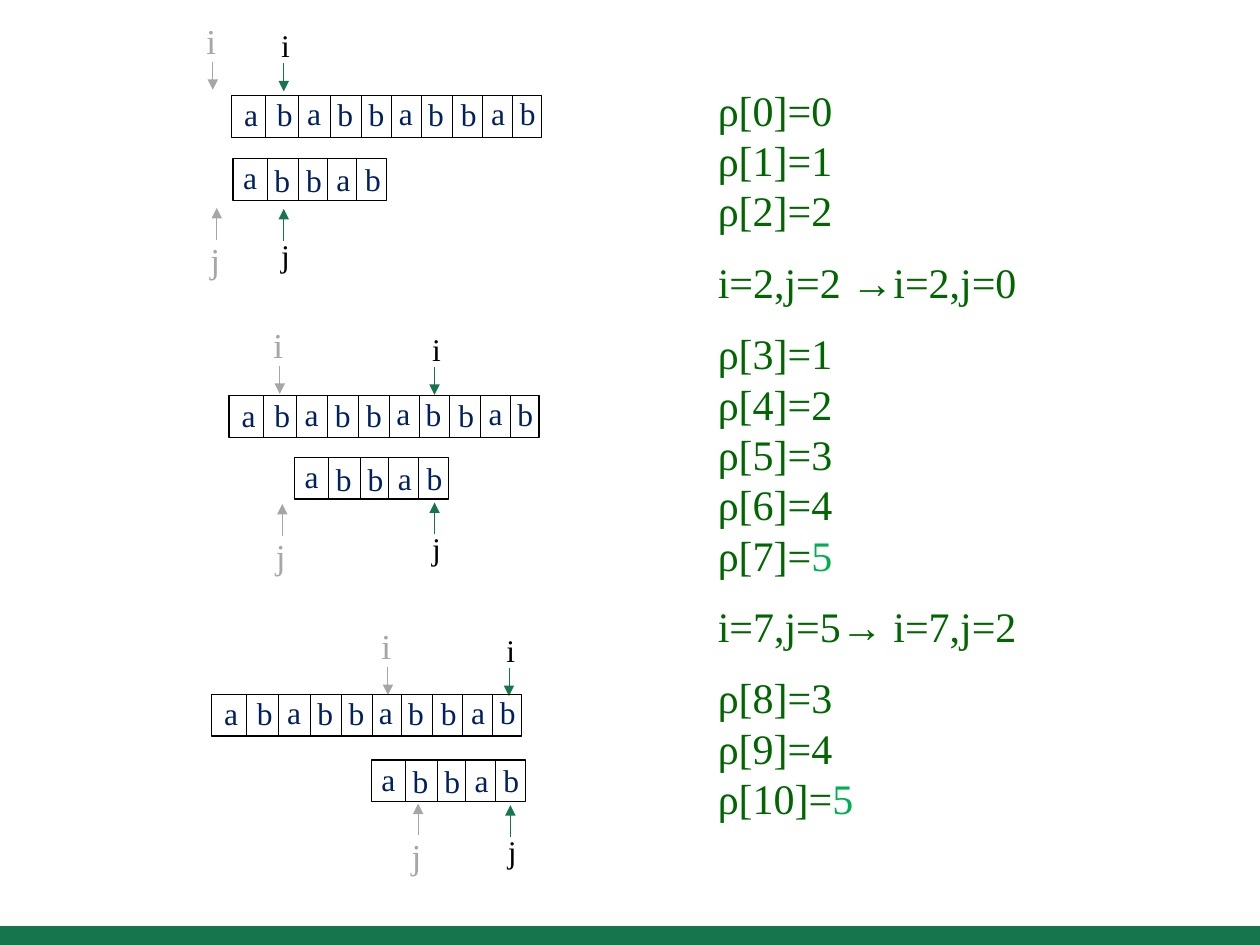
from dataclasses import dataclass
from typing import NamedTuple

from lxml.etree import SubElement
from pptx import Presentation
from pptx.dml.color import RGBColor
from pptx.enum.shapes import MSO_CONNECTOR, MSO_SHAPE
from pptx.enum.text import MSO_AUTO_SIZE
from pptx.oxml.ns import qn
from pptx.util import Cm, Pt


@dataclass(frozen=True)
class Theme:
    font: str = "Times New Roman"
    green: str = "16754D"
    result: str = "006600"
    accent: str = "00B050"
    letter: str = "002060"
    black: str = "000000"
    faded: str = "A6A6A6"
    result_size: int = 24
    faded_size: int = 20
    label_size: int = 18
    thin: float = 0.5
    medium: float = 0.75


THEME = Theme()


class Point(NamedTuple):
    x: float
    y: float


class Cell(NamedTuple):
    letter: str
    left: float
    top: float


@dataclass(frozen=True)
class Strip:
    width: float
    cells: tuple[Cell, ...]
    dividers: tuple[float, ...]


@dataclass(frozen=True)
class PointerStyle:
    color: str
    size: int
    width: float
    height: float
    left: float
    i_top: float
    j_top: float
    wrap: bool


@dataclass(frozen=True)
class Stage:
    text: Point
    pattern: Point
    old_i: Point
    old_j: Point
    new_i: Point
    new_j: Point


@dataclass(frozen=True)
class Result:
    text: str
    accent: str = ""
    spaced: bool = False


STRIP_HEIGHT = 0.84
TEXT_STRIP = Strip(
    6.25,
    (Cell("a", 0, -0.13), Cell("b", 0.66, -0.13), Cell("a", 1.27, -0.15),
     Cell("b", 1.88, -0.13), Cell("b", 2.51, -0.13), Cell("a", 3.12, -0.16),
     Cell("b", 3.71, -0.14), Cell("b", 4.37, -0.13), Cell("a", 4.98, -0.16),
     Cell("b", 5.56, -0.15)),
    (0.69, 1.35, 1.99, 2.61, 3.23, 3.83, 4.45, 5.06, 5.66),
)
PATTERN_STRIP = Strip(
    3.1,
    (Cell("a", -0.05, -0.13), Cell("b", 0.58, -0.08), Cell("b", 1.22, -0.08),
     Cell("a", 1.83, -0.1), Cell("b", 2.41, -0.1)),
    (0.69, 1.32, 1.9, 2.49),
)
OLD = PointerStyle(THEME.faded, THEME.faded_size, 0.71, 1.12, -0.38, -0.97, -0.15, False)
NEW = PointerStyle(THEME.black, THEME.label_size, 0.91, 1.02, -0.3, -0.86, -0.22, True)

STAGES = (
    Stage(Point(4.67, 1.93), Point(4.7, 3.2), Point(4.29, 1.24),
          Point(4.37, 4.83), Point(5.72, 1.27), Point(5.72, 4.85)),
    Stage(Point(4.62, 7.98), Point(5.94, 9.22), Point(5.64, 7.37),
          Point(5.69, 10.8), Point(8.76, 7.39), Point(8.76, 10.77)),
    Stage(Point(4.27, 14), Point(7.49, 15.32), Point(7.82, 13.44),
          Point(8.43, 16.84), Point(10.26, 13.46), Point(10.29, 16.87)),
)
RESULTS = (
    Result("ρ[0]=0"), Result("ρ[1]=1"), Result("ρ[2]=2"),
    Result("i=2,j=2 →i=2,j=0", spaced=True),
    Result("ρ[3]=1"), Result("ρ[4]=2"), Result("ρ[5]=3"), Result("ρ[6]=4"),
    Result("ρ[7]=", "5"),
    Result("i=7,j=5→ i=7,j=2", spaced=True),
    Result("ρ[8]=3"), Result("ρ[9]=4"), Result("ρ[10]=", "5"),
)


def add_span(para, text: str, size: int, color: str) -> None:
    span = para.add_run()
    span.text = text
    span.font.name = THEME.font
    span.font.size = Pt(size)
    span.font.color.rgb = RGBColor.from_string(color)


def add_box(shapes, left: float, top: float, width: float, height: float, wrap: bool = True):
    box = shapes.add_textbox(Cm(left), Cm(top), Cm(width), Cm(height))
    box.text_frame.word_wrap = wrap
    box.text_frame.auto_size = MSO_AUTO_SIZE.SHAPE_TO_FIT_TEXT
    return box.text_frame


def add_vertical(shapes, x: float, start: float, end: float, color: str,
                 weight: float, arrow: bool = False) -> None:
    line = shapes.add_connector(MSO_CONNECTOR.STRAIGHT, Cm(x), Cm(start), Cm(x), Cm(end))
    line.line.color.rgb = RGBColor.from_string(color)
    line.line.width = Pt(weight)
    if arrow:
        SubElement(line.line._get_or_add_ln(), qn("a:tailEnd"), type="triangle")
    SubElement(line._element.spPr, qn("a:effectLst"))


def draw_strip(shapes, strip: Strip, origin: Point) -> None:
    frame = shapes.add_shape(MSO_SHAPE.RECTANGLE, Cm(origin.x), Cm(origin.y),
                             Cm(strip.width), Cm(STRIP_HEIGHT))
    frame.shadow.inherit = False
    frame.fill.background()
    frame.line.color.rgb = RGBColor.from_string(THEME.black)
    frame.line.width = Pt(THEME.medium)
    for offset in strip.dividers:
        add_vertical(shapes, origin.x + offset, origin.y, origin.y + STRIP_HEIGHT,
                     THEME.black, THEME.thin)
    for cell in strip.cells:
        box = add_box(shapes, origin.x + cell.left, origin.y + cell.top, 0.79, 1.02)
        add_span(box.paragraphs[0], cell.letter, THEME.label_size, THEME.letter)


def draw_pointer(shapes, label: str, start: Point, style: PointerStyle) -> None:
    downward = label == "i"
    top = style.i_top if downward else style.j_top
    length = 0.57 if downward else -0.64
    weight = THEME.thin if downward else THEME.medium
    color = THEME.green if style is NEW else style.color
    box = add_box(shapes, start.x + style.left, start.y + top,
                  style.width, style.height, style.wrap)
    add_span(box.paragraphs[0], label, style.size, style.color)
    add_vertical(shapes, start.x, start.y, start.y + length, color, weight, arrow=True)


def draw_stage(page, stage: Stage) -> None:
    shapes = page.shapes.add_group_shape().shapes
    draw_pointer(shapes, "i", stage.old_i, OLD)
    draw_pointer(shapes, "j", stage.old_j, OLD)
    draw_pointer(shapes, "i", stage.new_i, NEW)
    draw_pointer(shapes, "j", stage.new_j, NEW)
    draw_strip(shapes, TEXT_STRIP, stage.text)
    draw_strip(shapes, PATTERN_STRIP, stage.pattern)


def draw_results(page) -> None:
    box = add_box(page.shapes, 14.22, 1.57, 8.05, 15.29)
    for index, result in enumerate(RESULTS):
        para = box.add_paragraph() if index else box.paragraphs[0]
        if result.spaced:
            para.space_before = para.space_after = Pt(12)
        add_span(para, result.text, THEME.result_size, THEME.result)
        if result.accent:
            add_span(para, result.accent, THEME.result_size, THEME.accent)


def draw_footer(page) -> None:
    bar = page.shapes.add_shape(MSO_SHAPE.RECTANGLE, 0, Cm(18.67), Cm(25.4), Cm(0.38))
    bar.shadow.inherit = False
    bar.fill.solid()
    bar.fill.fore_color.rgb = RGBColor.from_string(THEME.green)
    bar.line.fill.background()


def main() -> None:
    deck = Presentation()
    deck.slide_width, deck.slide_height = Cm(25.4), Cm(19.05)
    page = deck.slides.add_slide(deck.slide_layouts[6])
    draw_footer(page)
    draw_results(page)
    for stage in STAGES:
        draw_stage(page, stage)
    deck.save("out.pptx")


if __name__ == "__main__":
    main()
